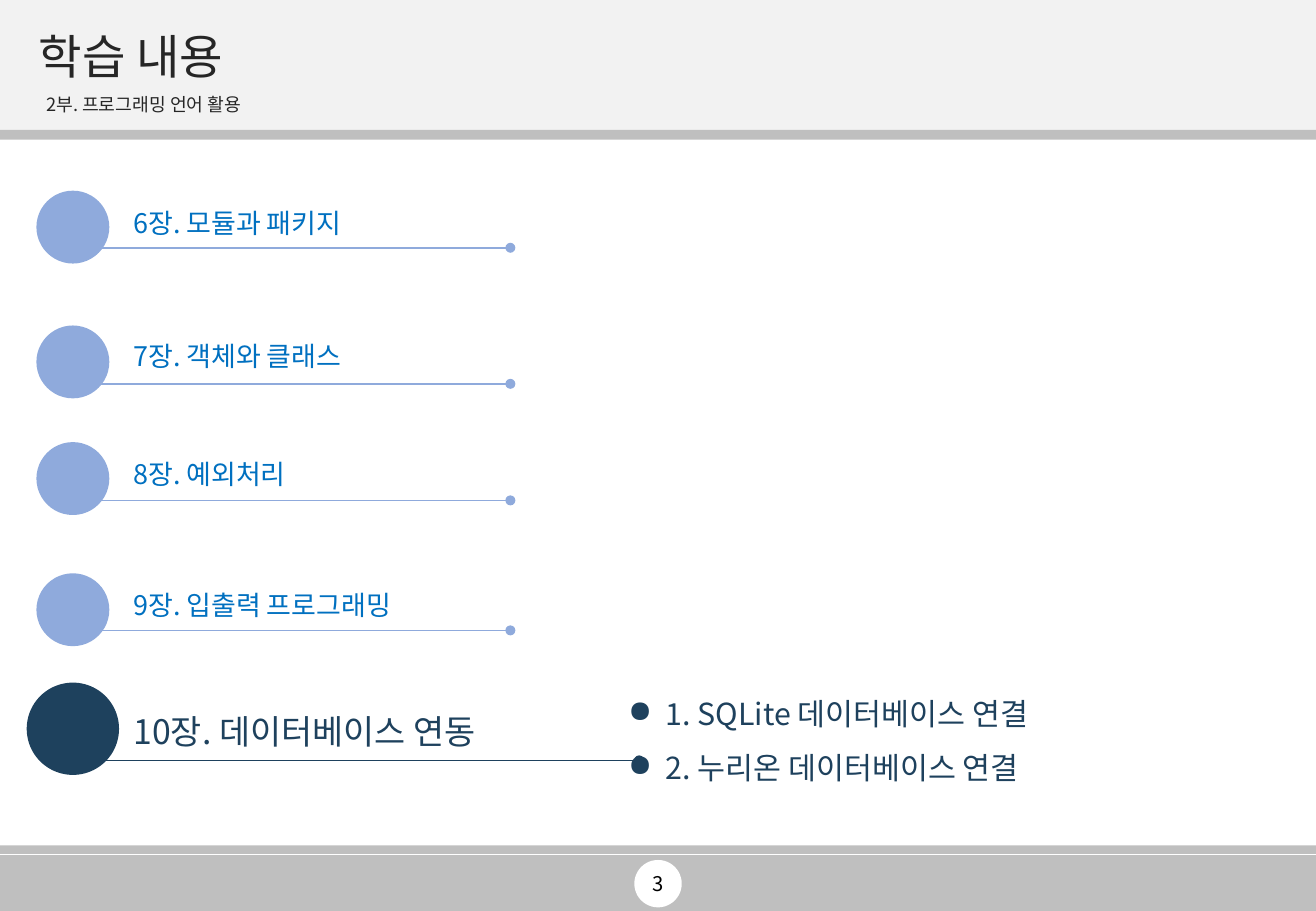
from lxml.etree import SubElement
from pptx import Presentation
from pptx.dml.color import RGBColor
from pptx.enum.shapes import MSO_CONNECTOR, MSO_SHAPE
from pptx.enum.text import MSO_ANCHOR, MSO_AUTO_SIZE, PP_ALIGN
from pptx.oxml.ns import qn
from pptx.util import Inches, Pt

FONT = "Noto Sans CJK KR"
GRAY, PALE, WHITE, DARK = "BFBFBF", "F2F2F2", "FFFFFF", "262626"
SKY, BLUE, NAVY = "8FAADC", "0070C0", "1E415D"

prs = Presentation()
prs.slide_width, prs.slide_height = Inches(10.83), Inches(7.5)
slide = prs.slides.add_slide(prs.slide_layouts[5])
shapes = slide.shapes


def paint(kind, left, top, width, height, color):
    shape = shapes.add_shape(kind, Inches(left), Inches(top), Inches(width), Inches(height))
    shape.shadow.inherit = False
    shape.fill.solid()
    shape.fill.fore_color.rgb = RGBColor.from_string(color)
    shape.line.fill.background()


def write(text, left, top, width, height, size, color, box=None, align=PP_ALIGN.LEFT,
          anchor=MSO_ANCHOR.TOP, spacing=1.0, before=0, bullet=None):
    place = [Inches(n) for n in (left, top, width, height)]
    box = box or shapes.add_textbox(*place)
    box.left, box.top, box.width, box.height = place
    frame = box.text_frame
    frame.text = text
    frame.word_wrap = True
    frame.auto_size = MSO_AUTO_SIZE.NONE
    frame.vertical_anchor = anchor
    for para in frame.paragraphs:
        para.alignment, para.line_spacing = align, spacing
        para.space_before = Pt(before)
        if bullet:
            props = para._p.get_or_add_pPr()
            props.set("marL", str(Inches(0.31)))
            props.set("indent", str(-Inches(0.31)))
            SubElement(props, qn("a:buChar"), char=bullet)
        font = para.runs[0].font
        font.name, font.size = FONT, Pt(size)
        font.color.rgb = RGBColor.from_string(color)
        SubElement(font._element, qn("a:ea"), typeface=FONT)
    return box


# Header and footer bands
for top, height, color in [(0, 1.07, PALE), (1.07, 0.08, GRAY),
                           (6.96, 0.07, GRAY), (7.04, 0.46, GRAY)]:
    paint(MSO_SHAPE.RECTANGLE, 0, top, 10.83, height, color)

# Title and subtitle
title = write("학습 내용", 0.22, 0.21, 10.39, 0.55, 28, DARK, box=shapes.title,
              anchor=MSO_ANCHOR.MIDDLE, spacing=0.9)
shapes._spTree.append(title._element)
part = write("2부. 프로그래밍 언어 활용", 0.3, 0.76, 10.32, 0.24, 10.8, DARK,
             anchor=MSO_ANCHOR.MIDDLE, spacing=0.7, before=8.1)
part.text_frame.margin_left = Inches(0.08)

# Page number
paint(MSO_SHAPE.OVAL, 5.22, 7.08, 0.39, 0.39, WHITE)
write("3", 4.2, 7.08, 2.44, 0.39, 12, "000000", align=PP_ALIGN.CENTER,
      anchor=MSO_ANCHOR.MIDDLE)

# Chapters: label, disc left, top and size, text top, rule height and end, size, colours
chapters = [
    ("6장. 모듈과 패키지", 0.3, 1.57, 0.6, 1.65, 2.04, 4.2, 16, BLUE, SKY),
    ("7장. 객체와 클래스", 0.3, 2.68, 0.6, 2.75, 3.16, 4.2, 16, BLUE, SKY),
    ("8장. 예외처리", 0.3, 3.64, 0.6, 3.72, 4.12, 4.2, 16, BLUE, SKY),
    ("9장. 입출력 프로그래밍", 0.3, 4.72, 0.6, 4.8, 5.19, 4.2, 16, BLUE, SKY),
    ("10장. 데이터베이스 연동", 0.22, 5.62, 0.76, 5.8, 6.26, 5.26, 20, NAVY, NAVY),
]
for label, left, top, disc, head, base, end, size, ink, color in chapters:
    paint(MSO_SHAPE.OVAL, left, top, disc, disc, color)
    rule = shapes.add_connector(MSO_CONNECTOR.STRAIGHT, Inches(0.79), Inches(base),
                                Inches(end), Inches(base))
    rule.line.width = Pt(1)
    rule.line.color.rgb = RGBColor.from_string(color)
    SubElement(rule.line._get_or_add_ln(), qn("a:tailEnd"), type="oval")
    SubElement(rule._element.spPr, qn("a:effectLst"))
    write(label, 1, head, 3.6, 0.4, size, ink)

# Sections of the current chapter
write("1. SQLite 데이터베이스 연결\n2. 누리온 데이터베이스 연결", 5.07, 5.52, 5.38, 1.01,
      18, NAVY, spacing=1.5, bullet="●")

prs.save("out.pptx")
